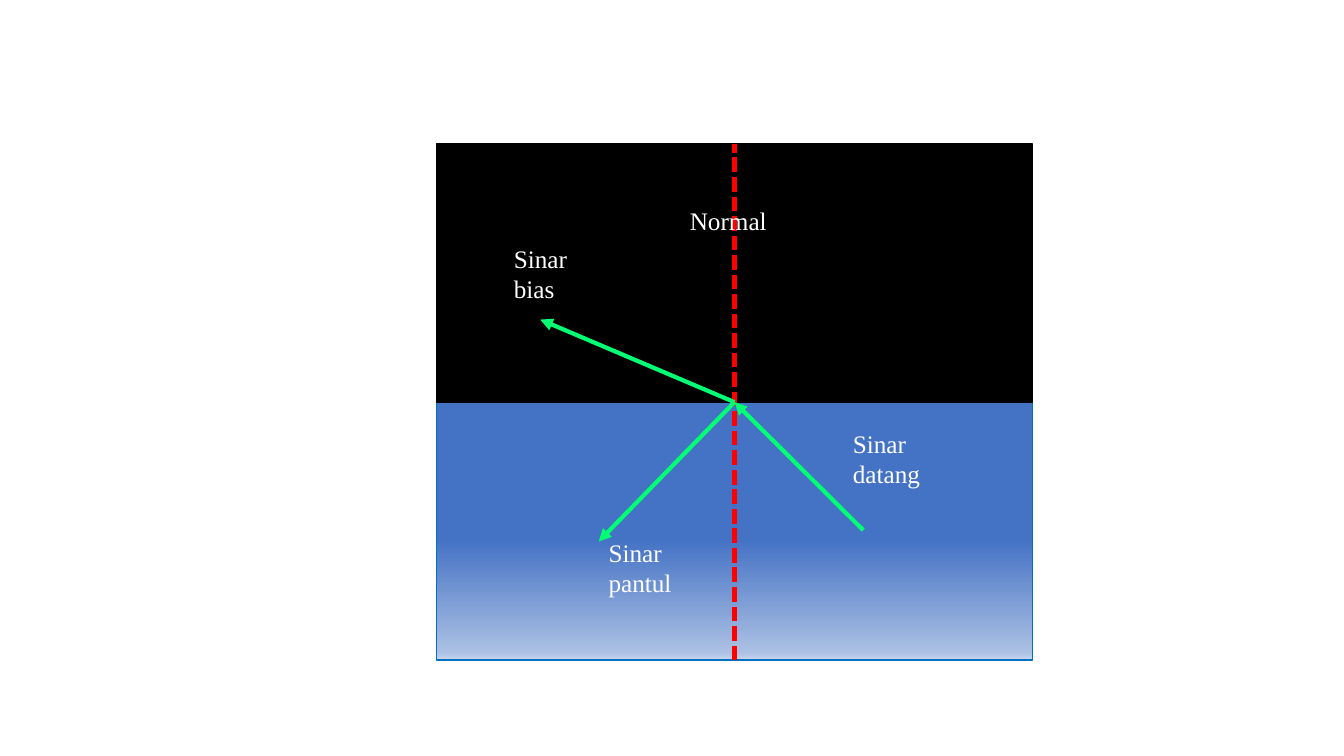
from dataclasses import dataclass

from lxml import etree
from pptx import Presentation
from pptx import util as u
from pptx.dml.color import RGBColor
from pptx.enum import dml, shapes, text
from pptx.oxml import parse_xml
from pptx.oxml.ns import nsdecls, qn
from pptx.shapes.autoshape import Shape
from pptx.shapes.connector import Connector
from pptx.shapes.shapetree import GroupShapes


@dataclass(frozen=True)
class Theme:
    air: str = "000000"
    edge: str = "0070C0"
    normal: str = "FF0000"
    ray: str = "01FF74"
    ink: str = "FFFFFF"
    water: tuple = ((53, "4472C4"), (97, "ABC0E4"), (100, "C7D5ED"))
    font: str = "Times New Roman"
    size: float = 18
    thin: float = 1
    bold: float = 3
    dash: float = 3.5


@dataclass(frozen=True)
class Grid:
    """A hundred columns and rows laid over the two media."""
    left: float = 4.33
    top: float = 1.43
    col: float = 5.91 / 100
    row: float = 5.12 / 100

    def x(self, n: float) -> int:
        return u.Inches(self.left + n * self.col)

    def y(self, n: float) -> int:
        return u.Inches(self.top + n * self.row)

    def box(self, x: float, y: float, w: float, h: float) -> tuple:
        return (self.x(x), self.y(y),
                u.Inches(w * self.col), u.Inches(h * self.row))


@dataclass(frozen=True)
class Ray:
    """A ray between the surface and a far end, given in grid units."""
    x: float
    y: float
    inward: bool = False


@dataclass(frozen=True)
class Label:
    words: str
    x: float
    y: float
    rows: float = 13.9
    align: text.PP_ALIGN = text.PP_ALIGN.LEFT


THEME = Theme()
GRID = Grid()
MID = 50
LABEL_COLS = 19.3

RAYS = [Ray(17.4, 34), Ray(71.6, 74.8, inward=True), Ray(27.2, 77)]
LABELS = [
    Label("Sinar datang", 68.2, 54.1),
    Label("Sinar pantul", 27.2, 75.2),
    Label("Sinar bias", 11.3, 18.2),
    Label("Normal", 39.3, 10.9, 7.8, text.PP_ALIGN.CENTER),
]


def rgb(code: str) -> RGBColor:
    return RGBColor.from_string(code)


def add_half(tree: GroupShapes, row: float, edge: str) -> Shape:
    half = tree.add_shape(shapes.MSO_SHAPE.RECTANGLE,
                          *GRID.box(0, row, 100, MID))
    half.shadow.inherit = False
    half.line.color.rgb = rgb(edge)
    half.line.width = u.Pt(THEME.thin)
    return half


def fill_water(half: Shape) -> None:
    stops = "".join(
        f'<a:gs pos="{pos * 1000}"><a:srgbClr val="{code}"/></a:gs>'
        for pos, code in THEME.water)
    grad = parse_xml(
        f'<a:gradFill {nsdecls("a")} rotWithShape="1"><a:gsLst>{stops}'
        '</a:gsLst><a:lin ang="5400000" scaled="0"/></a:gradFill>')
    half.element.spPr.find(qn("a:prstGeom")).addnext(grad)


def add_line(tree: GroupShapes, start: tuple, end: tuple,
             code: str, width: float) -> Connector:
    line = tree.add_connector(
        shapes.MSO_CONNECTOR.STRAIGHT,
        GRID.x(start[0]), GRID.y(start[1]), GRID.x(end[0]), GRID.y(end[1]))
    line.line.color.rgb = rgb(code)
    line.line.width = u.Pt(width)
    etree.SubElement(line.element.spPr, qn("a:effectLst"))
    return line


def add_normal(tree: GroupShapes, air: Shape, water: Shape) -> None:
    line = add_line(tree, (MID, 100), (MID, 0), THEME.normal, THEME.dash)
    line.line.dash_style = dml.MSO_LINE.SQUARE_DOT
    line.begin_connect(water, 2)
    line.end_connect(air, 0)


def add_ray(tree: GroupShapes, ray: Ray, water: Shape) -> None:
    hit, far = (MID, MID), (ray.x, ray.y)
    start, end = (far, hit) if ray.inward else (hit, far)
    line = add_line(tree, start, end, THEME.ray, THEME.bold)
    join = line.end_connect if ray.inward else line.begin_connect
    join(water, 0)
    etree.SubElement(line.line._get_or_add_ln(), qn("a:tailEnd"),
                     type="triangle")


def add_label(tree: GroupShapes, label: Label) -> None:
    box = tree.add_textbox(
        *GRID.box(label.x, label.y, LABEL_COLS, label.rows))
    frame = box.text_frame
    frame.word_wrap = True
    frame.auto_size = text.MSO_AUTO_SIZE.SHAPE_TO_FIT_TEXT
    para = frame.paragraphs[0]
    para.alignment = label.align
    run = para.add_run()
    run.text = label.words
    run.font.name = THEME.font
    run.font.size = u.Pt(THEME.size)
    run.font.color.rgb = rgb(THEME.ink)


def main() -> None:
    deck = Presentation()
    deck.slide_width, deck.slide_height = u.Inches(13.33), u.Inches(7.5)
    slide = deck.slides.add_slide(deck.slide_layouts[6])
    tree = slide.shapes.add_group_shape().shapes

    water = add_half(tree, MID, THEME.edge)
    fill_water(water)
    air = add_half(tree, 0, THEME.air)
    air.fill.solid()
    air.fill.fore_color.rgb = rgb(THEME.air)

    add_normal(tree, air, water)
    for ray in RAYS:
        add_ray(tree, ray, water)
    for label in LABELS:
        add_label(tree, label)
    deck.save("out.pptx")


if __name__ == "__main__":
    main()
